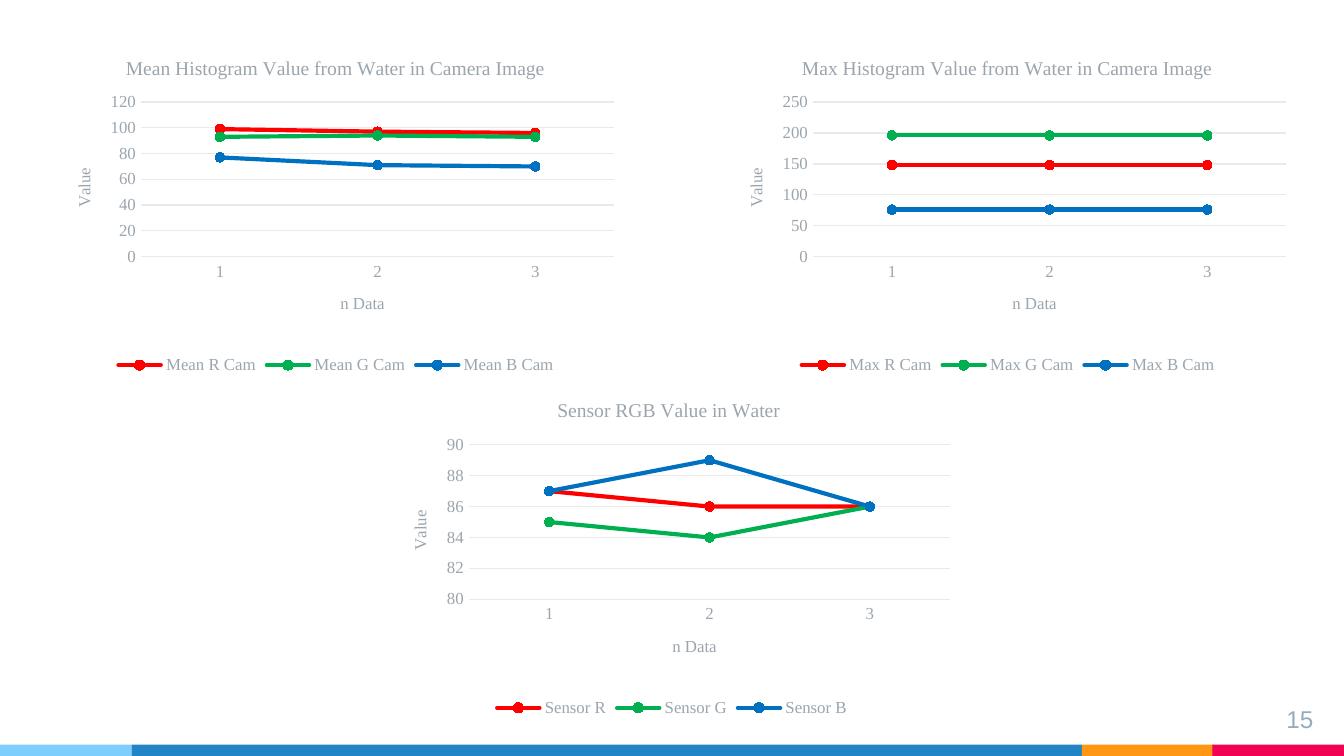
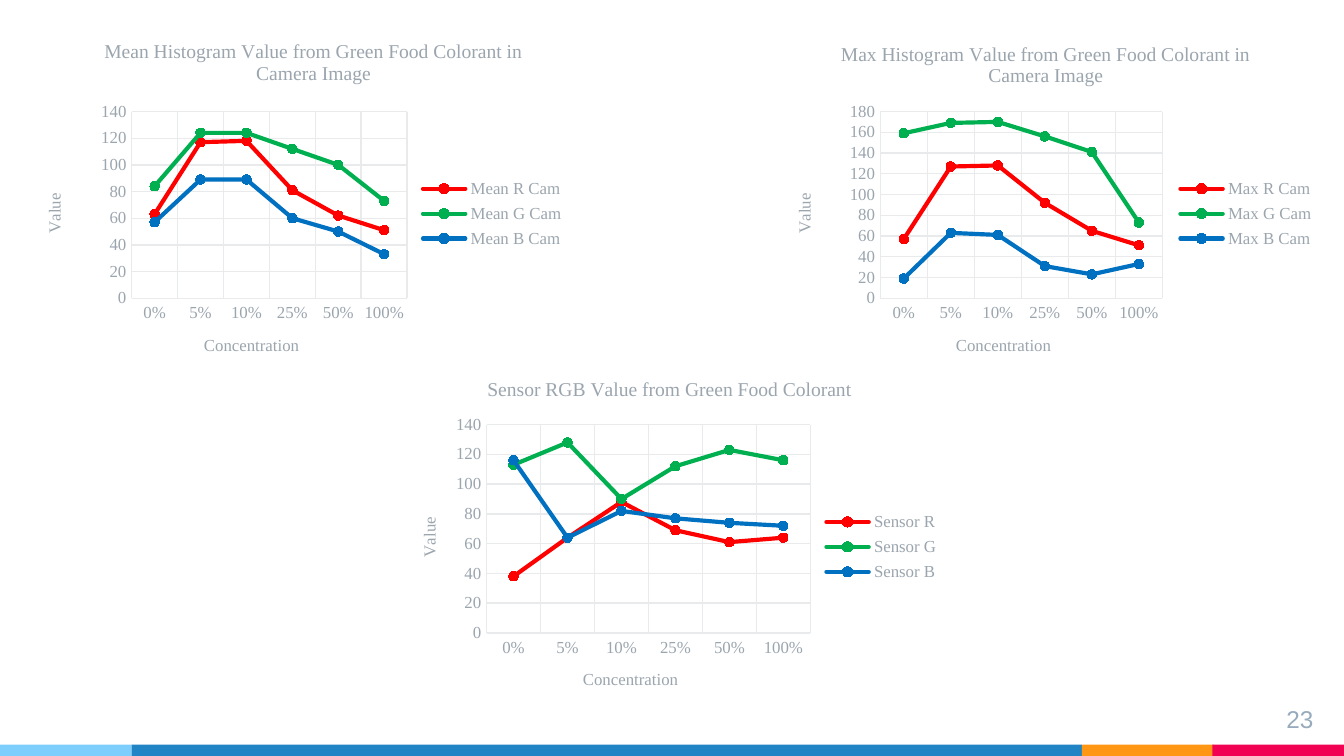
from pptx import Presentation
from pptx.chart.data import CategoryChartData
from pptx.dml.color import RGBColor
from pptx.enum.chart import (XL_CHART_TYPE, XL_LEGEND_POSITION,
                             XL_MARKER_STYLE, XL_TICK_MARK)
from pptx.enum.shapes import MSO_SHAPE
from pptx.enum.text import PP_ALIGN
from pptx.oxml.ns import qn
from pptx.util import Inches, Pt
from lxml.etree import SubElement, Element

SKY = RGBColor(0x7E, 0xCE, 0xFD)
OCEAN = RGBColor(0x21, 0x85, 0xC5)
ORANGE = RGBColor(0xFF, 0x97, 0x15)
PINK = RGBColor(0xF2, 0x02, 0x53)
RED = RGBColor(0xFF, 0x00, 0x00)
GREEN = RGBColor(0x00, 0xB0, 0x50)
BLUE = RGBColor(0x00, 0x70, 0xC0)
SLATE = RGBColor(0x67, 0x74, 0x80)
GRAY = RGBColor(0x9B, 0xA5, 0xAE)
PALE = RGBColor(0xE8, 0xEA, 0xEC)
STEEL = RGBColor(0x97, 0xAB, 0xBC)

SERIF = "Times New Roman"
BASE = {"name": SERIF, "size": Pt(9), "color": SLATE}
LABEL = {"name": SERIF, "size": Pt(9), "color": GRAY}
HEAD = {"name": SERIF, "size": Pt(10.5), "color": GRAY}
PAGE = {"name": "Arial", "size": Pt(13), "color": STEEL}

# Left edge, width, colour of each footer band
BANDS = [(0, 0.98, SKY), (0.98, 7.07, OCEAN),
         (8.05, 0.98, ORANGE), (9.02, 0.98, PINK)]

# Each chart: title, series prefix and suffix, left and top of the chart,
# left and top of the title, plot box, axis range and step, R, G, B values.
# All places are inches on the slide.
SLIDES = [
    {"page": "15", "size": (4.32, 2.55), "cats": [1, 2, 3], "form": "General",
     "name": "n Data", "shift": 0.3, "grid": False,
     "legend": XL_LEGEND_POSITION.BOTTOM,
     "charts": [
         ("Mean Histogram Value from Water in Camera Image", "Mean", " Cam",
          (0.34, 0.28), (0.91, 0.39), (1.05, 0.76, 3.52, 1.15), (0, 120, 20),
          [(99, 97, 96), (93, 94, 93), (77, 71, 70)]),
         ("Max Histogram Value from Water in Camera Image", "Max", " Cam",
          (5.34, 0.28), (5.94, 0.39), (6.05, 0.76, 3.52, 1.15), (0, 250, 50),
          [(148, 148, 148), (196, 196, 196), (76, 76, 76)]),
         ("Sensor RGB Value in Water", "Sensor", "",
          (2.84, 2.83), (4.12, 2.94), (3.49, 3.31, 3.58, 1.15), (80, 90, 2),
          [(87, 86, 86), (85, 84, 86), (87, 89, 86)]),
     ]},
    {"page": "23", "size": (4.18, 2.8), "cats": [0, 0.05, 0.1, 0.25, 0.5, 1],
     "form": "0%", "name": "Concentration", "shift": 0.51, "grid": True,
     "legend": XL_LEGEND_POSITION.RIGHT,
     "charts": [
         ("Mean Histogram Value from Green Food Colorant in Camera Image",
          "Mean", " Cam",
          (0.12, 0.19), (0.75, 0.27), (0.98, 0.83, 2.05, 1.39), (0, 140, 20),
          [(63, 117, 118, 81, 62, 51), (84, 124, 124, 112, 100, 73),
           (57, 89, 89, 60, 50, 33)]),
         ("Max Histogram Value from Green Food Colorant in Camera Image",
          "Max", " Cam",
          (5.7, 0.19), (6.23, 0.29), (6.55, 0.83, 2.1, 1.39), (0, 180, 20),
          [(57, 127, 128, 92, 65, 51), (159, 169, 170, 156, 141, 73),
           (19, 63, 61, 31, 23, 33)]),
         ("Sensor RGB Value from Green Food Colorant", "Sensor", "",
          (2.91, 2.67), (3.6, 2.78), (3.62, 3.16, 2.41, 1.55), (0, 140, 20),
          [(38, 64, 88, 69, 61, 64), (113, 128, 90, 112, 123, 116),
           (116, 64, 82, 77, 74, 72)]),
     ]},
]


def style(font, look):
    """Set the font attributes named in a dict."""
    for key, val in look.items():
        if key == "color":
            font.color.rgb = val
        else:
            setattr(font, key, val)


def place(node, index, spot, frame):
    """Give a chart part a fixed place, in slide inches, within its frame."""
    for old in node.findall(qn("c:layout")):
        node.remove(old)
    lay = Element(qn("c:layout"))
    node.insert(index, lay)
    man = SubElement(lay, qn("c:manualLayout"))
    left, top, wide, high = frame
    parts = [("xMode", "edge"), ("yMode", "edge"),
             ("x", (spot[0] - left) / wide), ("y", (spot[1] - top) / high)]
    if len(spot) == 4:
        parts.insert(0, ("layoutTarget", "inner"))
        parts += [("w", spot[2] / wide), ("h", spot[3] / high)]
    for tag, val in parts:
        text = val if isinstance(val, str) else f"{val:.4f}"
        SubElement(man, qn("c:" + tag)).set("val", text)


prs = Presentation()
prs.slide_width = Inches(10)
prs.slide_height = Inches(10 * 9 / 16)

for page in SLIDES:
    slide = prs.slides.add_slide(prs.slide_layouts[6])

    # Footer bands
    for left, wide, color in BANDS:
        band = slide.shapes.add_shape(MSO_SHAPE.RECTANGLE, Inches(left),
                                      Inches(5.54), Inches(wide), Inches(0.08))
        band.height = prs.slide_height - band.top
        band.shadow.inherit = False
        band.fill.solid()
        band.fill.fore_color.rgb = color
        band.line.fill.background()

    # Page number
    box = slide.shapes.add_textbox(Inches(9.27), Inches(5.14),
                                   Inches(0.6), Inches(0.34))
    frame = box.text_frame
    frame.word_wrap = True
    for side in ("left", "right", "top", "bottom"):
        setattr(frame, "margin_" + side, Inches(0.1))
    para = frame.paragraphs[0]
    para.alignment = PP_ALIGN.RIGHT
    run = para.add_run()
    run.text = page["page"]
    style(run.font, PAGE)

    # Charts
    for title, pre, post, spot, head, plot, scale, rows in page["charts"]:
        data = CategoryChartData()
        data.categories = page["cats"]
        data.categories.number_format = page["form"]
        for hue, vals in zip("RGB", rows):
            data.add_series(f"{pre} {hue}{post}", vals)
        area = (*spot, *page["size"])
        chart = slide.shapes.add_chart(XL_CHART_TYPE.LINE_MARKERS,
                                       *map(Inches, area), data).chart
        style(chart.font, BASE)

        # Lines and markers
        chart.plots[0].vary_by_categories = False
        for line, color in zip(chart.plots[0].series, (RED, GREEN, BLUE)):
            line.smooth = False
            line.format.line.width = Pt(2.25)
            line.format.line.color.rgb = color
            line._element.find(qn("c:spPr")).find(qn("a:ln")).set("cap", "rnd")
            mark = line.marker
            mark.style = XL_MARKER_STYLE.CIRCLE
            mark.size = 5
            mark.format.fill.solid()
            mark.format.fill.fore_color.rgb = color
            mark.format.line.color.rgb = color

        # Axes
        cat, val = chart.category_axis, chart.value_axis
        val.minimum_scale, val.maximum_scale, val.major_unit = scale
        val.has_major_gridlines = True
        cat.has_major_gridlines = page["grid"]
        cat.tick_labels.number_format = page["form"]
        cat.tick_labels.number_format_is_linked = False
        for axis in (cat, val):
            axis.major_tick_mark = XL_TICK_MARK.NONE
            axis.minor_tick_mark = XL_TICK_MARK.NONE
            style(axis.tick_labels.font, LABEL)
            if axis.has_major_gridlines:
                axis.major_gridlines.format.line.color.rgb = PALE
                axis.major_gridlines.format.line.width = Pt(0.75)
        cat.format.line.color.rgb = PALE
        cat.format.line.width = Pt(0.75)
        val.format.line.fill.background()

        # Plot and titles, the axis titles set off from the plot
        place(chart.plots[0]._element.getparent(), 0, plot, area)
        left, top, wide, high = plot
        low = (left + wide / 2 - page["shift"], top + high + 0.24)
        side = (spot[0] + 0.18, top + high / 2 - 0.11)
        for part, text, at, look in (
                (chart.chart_title, title, head, HEAD),
                (cat.axis_title, page["name"], low, LABEL),
                (val.axis_title, "Value", side, LABEL)):
            run = part.text_frame.paragraphs[0].add_run()
            run.text = text
            style(run.font, {**look, "bold": False})
            place(part._element, 1, at, area)
        turn = val.axis_title.text_frame._txBody.find(qn("a:bodyPr"))
        turn.set("rot", "-5400000")
        turn.set("vert", "horz")

        # Legend
        chart.has_legend = True
        chart.legend.position = page["legend"]
        chart.legend.include_in_layout = False
        style(chart.legend.font, LABEL)

prs.save("out.pptx")
